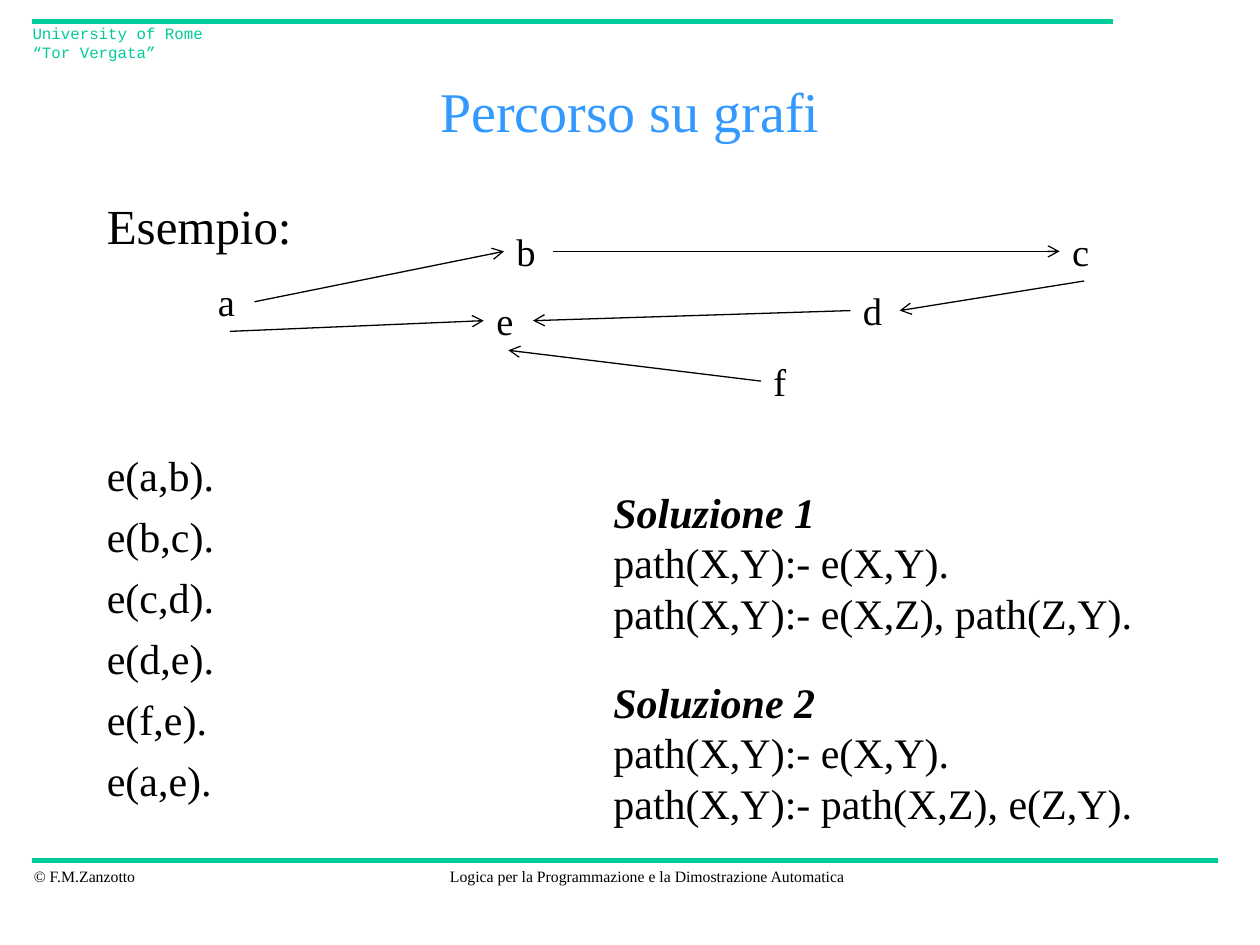
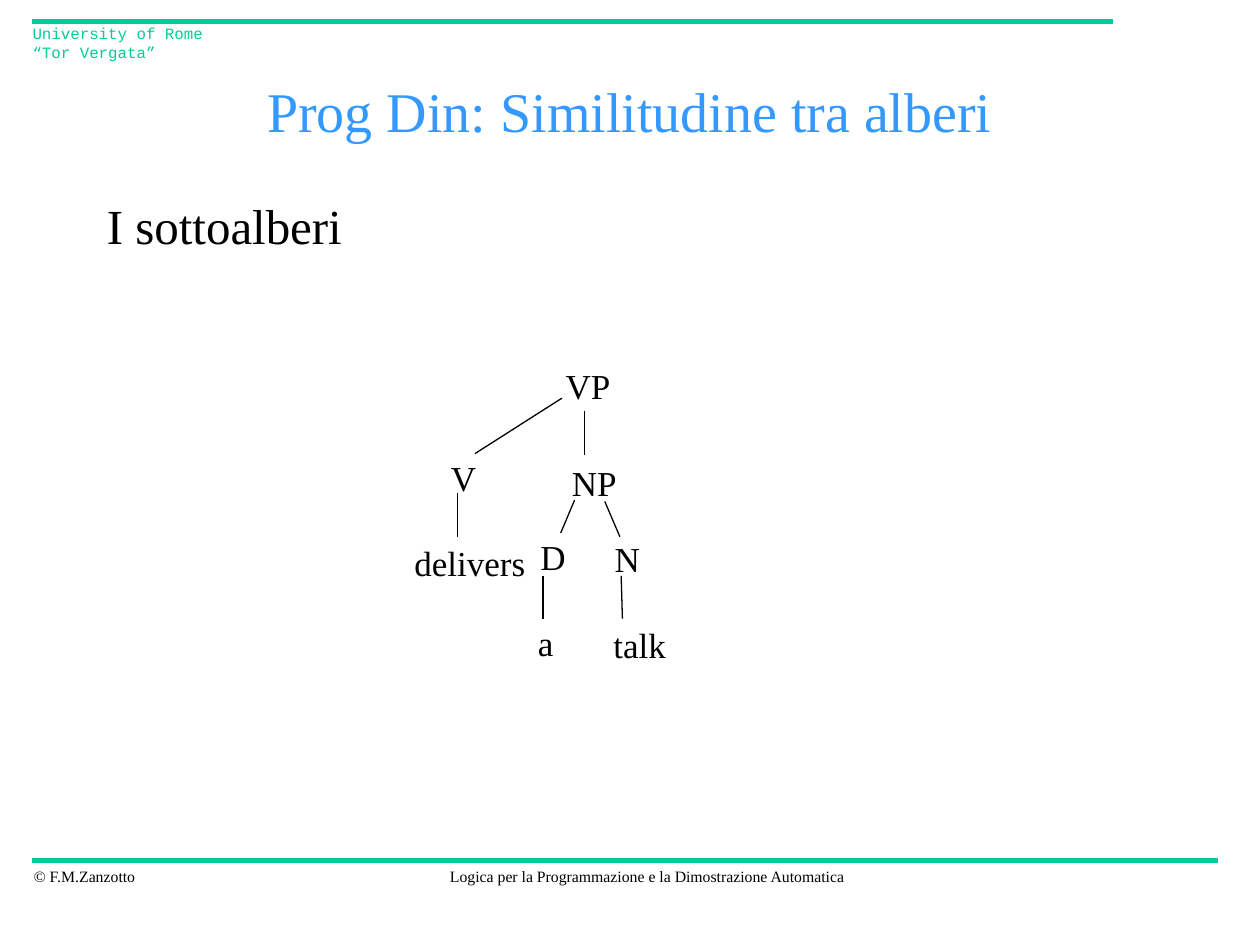
from lxml.etree import SubElement
from pptx import Presentation
from pptx.dml.color import RGBColor
from pptx.enum.shapes import MSO_CONNECTOR as LINE
from pptx.enum.text import MSO_ANCHOR as ANCHOR, PP_ALIGN as ALIGN
from pptx.oxml.ns import qn
from pptx.util import Pt

PX = 9144  # 100 px to the inch
GREEN, BLUE, BLACK = "00CC99", "3399FF", "000000"
SERIF, MONO = "Times New Roman", "Courier New"
TOP, LEFT, BOTTOM, RIGHT = range(4)


def add_text(page, text, left, top, width, height, size=20, font=SERIF, color=BLACK,
             align=ALIGN.LEFT, anchor=ANCHOR.TOP, wrap=True, space_before=0):
    box = page.shapes.add_textbox(left * PX, top * PX, width * PX, height * PX)
    frame = box.text_frame
    frame.word_wrap = wrap
    frame.vertical_anchor = anchor
    frame.text = text
    for para in frame.paragraphs:
        para.alignment = align
        para.space_before = Pt(space_before)
        for span in para.runs:
            span.font.size = Pt(size)
            span.font.name = font
            span.font.color.rgb = RGBColor.from_string(color)
    return box


def add_line(page, x1, y1, x2, y2, color=BLACK, weight=0.75, arrow=False):
    line = page.shapes.add_connector(LINE.STRAIGHT, x1 * PX, y1 * PX, x2 * PX, y2 * PX)
    line.line.color.rgb = RGBColor.from_string(color)
    line.line.width = Pt(weight)
    if arrow:
        SubElement(line.line._get_or_add_ln(), qn("a:tailEnd"), type="arrow")
    SubElement(line._element.spPr, qn("a:effectLst"))
    return line


deck = Presentation()
deck.slide_width, deck.slide_height = 1000 * PX, 750 * PX

# Bands, header, footer, title and body of every slide
facts = ["e(a,b).", "e(b,c).", "e(c,d).", "e(d,e).", "e(f,e).", "e(a,e)."]
contents = [
    ("Percorso su grafi", ["Esempio:"] + facts),
    ("Prog Din: Similitudine tra alberi", ["I sottoalberi"]),
]
pages, bodies = [], []
for title, body_lines in contents:
    page = deck.slides.add_slide(deck.slide_layouts[6])
    add_line(page, 25, 683, 967, 683, color=GREEN, weight=3)
    add_line(page, 25, 17, 883, 17, color=GREEN, weight=3)
    add_text(page, "© F.M.Zanzotto", 17, 683, 102, 25, size=9, wrap=False)
    add_text(page, "Logica per la Programmazione e la Dimostrazione Automatica",
             345, 683, 337, 25, size=9, align=ALIGN.CENTER, wrap=False)
    add_text(page, "University of Rome\v“Tor Vergata”", 16, 14, 171, 38,
             size=9, font=MONO, color=GREEN)
    add_text(page, title, 75, 50, 850, 75, size=32, color=BLUE,
             align=ALIGN.CENTER, anchor=ANCHOR.MIDDLE)
    body = add_text(page, "\n".join(body_lines), 75, 150, 850, 517, size=24, space_before=6)
    body.text_frame.paragraphs[0].runs[0].font.size = Pt(28)
    pages.append(page)
    bodies.append(body)
graph_page, tree_page = pages

# Facts start below the graph
bodies[0].text_frame.paragraphs[1].space_before = Pt(112)

# Graph nodes
node_places = {"a": (163, 216), "b": (400, 176), "c": (841, 176),
               "d": (675, 223), "e": (384, 231), "f": (604, 279)}
nodes = {name: add_text(graph_page, name, left, top, 39, 47, size=22)
         for name, (left, top) in node_places.items()}

# Graph edges, joined to the sides of the nodes
edges = [("a", RIGHT, "b", LEFT), ("b", RIGHT, "c", LEFT), ("a", BOTTOM, "e", LEFT),
         ("c", BOTTOM, "d", RIGHT), ("d", LEFT, "e", RIGHT), ("f", LEFT, "e", BOTTOM)]
for start, start_side, end, end_side in edges:
    edge = add_line(graph_page, 0, 0, 0, 0, arrow=True)
    edge.begin_connect(nodes[start], start_side)
    edge.end_connect(nodes[end], end_side)

# The two solutions
recursive_rules = ["path(X,Y):- e(X,Z), path(Z,Y).", "path(X,Y):- path(X,Z), e(Z,Y)."]
for index, rule in enumerate(recursive_rules):
    box = add_text(graph_page, f"Soluzione {index + 1}\npath(X,Y):- e(X,Y).\n{rule}",
                   477, 381 + 151 * index, 436, 131, size=24, wrap=False)
    heading = box.text_frame.paragraphs[0].runs[0].font
    heading.bold = heading.italic = True

# Parse tree words
for word, left, top, width in [
    ("VP", 439, 284, 61), ("V", 348, 357, 46), ("NP", 444, 361, 63),
    ("delivers", 319, 425, 118), ("D", 419, 420, 44), ("N", 478, 422, 61),
    ("a", 417, 488, 45), ("talk", 477, 490, 77),
]:
    add_text(tree_page, word, left, top, width, 38)

# Parse tree branches
for branch in [
    (446, 316, 377, 360), (464, 326, 464, 361), (363, 391, 363, 426),
    (445, 423, 456, 397), (480, 398, 492, 426),
    (431, 457, 431, 491), (493, 457, 494, 491),
]:
    add_line(tree_page, *branch)

deck.save("out.pptx")
